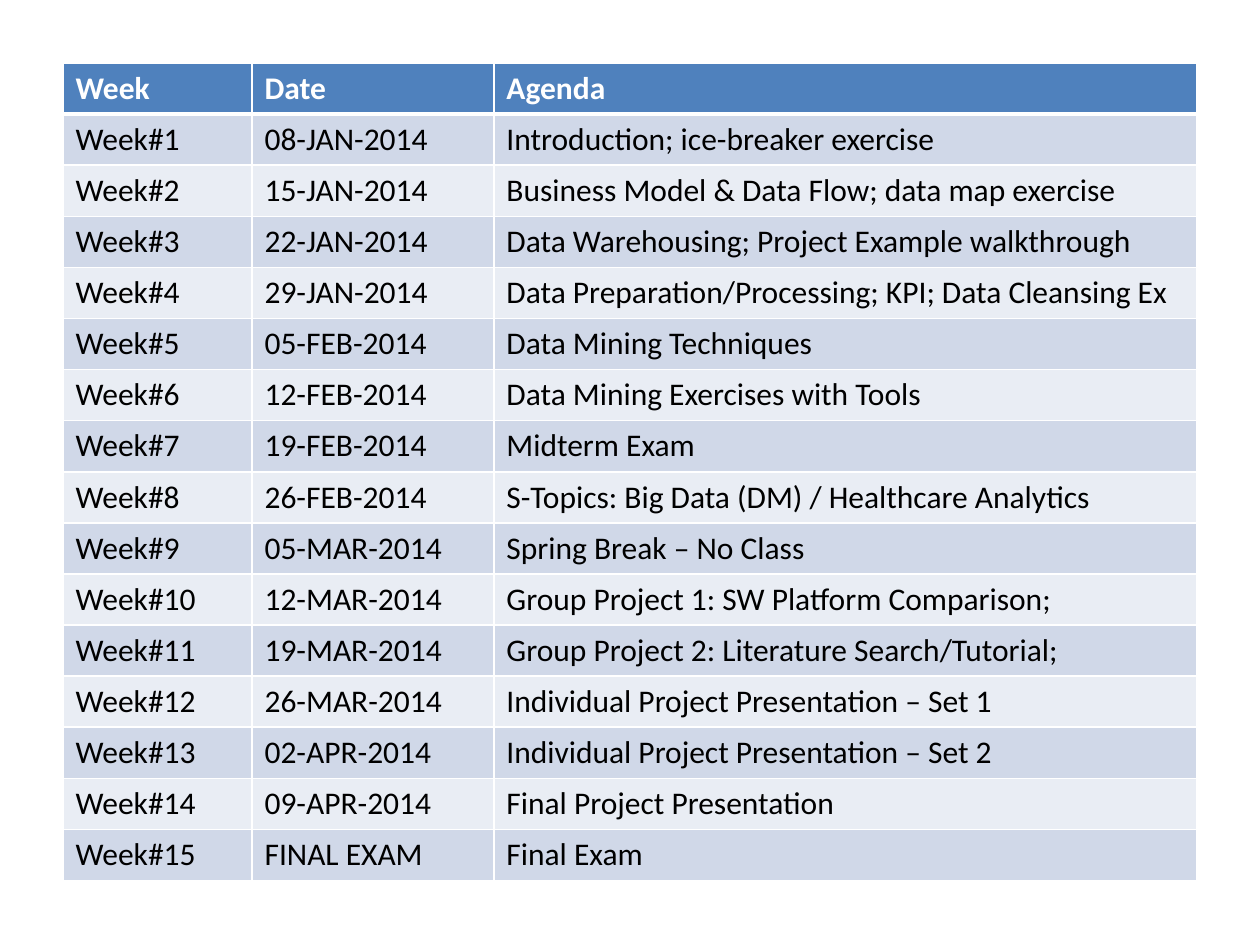
from lxml.etree import SubElement
from pptx import Presentation
from pptx.dml.color import RGBColor
from pptx.oxml.ns import qn
from pptx.util import Inches, Pt

# Content
HEADINGS = ("Week", "Date", "Agenda")
SESSIONS = [
    ("08-JAN-2014", "Introduction; ice-breaker exercise"),
    ("15-JAN-2014", "Business Model & Data Flow; data map exercise"),
    ("22-JAN-2014", "Data Warehousing; Project Example walkthrough"),
    ("29-JAN-2014", "Data Preparation/Processing; KPI; Data Cleansing Ex"),
    ("05-FEB-2014", "Data Mining Techniques"),
    ("12-FEB-2014", "Data Mining Exercises with Tools"),
    ("19-FEB-2014", "Midterm Exam"),
    ("26-FEB-2014", "S-Topics: Big Data (DM) / Healthcare Analytics"),
    ("05-MAR-2014", "Spring Break – No Class"),
    ("12-MAR-2014", "Group Project 1: SW Platform Comparison;"),
    ("19-MAR-2014", "Group Project 2: Literature Search/Tutorial;"),
    ("26-MAR-2014", "Individual Project Presentation – Set 1"),
    ("02-APR-2014", "Individual Project Presentation – Set 2"),
    ("09-APR-2014", "Final Project Presentation"),
    ("FINAL EXAM", "Final Exam"),
]
COLORS = {
    "header": "4F81BD",
    "odd week": "D0D8E8",
    "even week": "E9EDF4",
    "header text": "FFFFFF",
    "text": "000000",
    "border": "FFFFFF",
}

# Layout in inches
MARGIN = 0.5
COLUMN_WIDTHS = (1.5, 1.92, 5.58)
TABLE_HEIGHT = 6.49


def color(name):
    return RGBColor.from_string(COLORS[name])


def add_borders(cell, top, bottom):
    """Draw the four borders; they must come before the fill in the cell."""
    properties = cell._tc.get_or_add_tcPr()
    for side, points in (("L", 1), ("R", 1), ("T", top), ("B", bottom)):
        line = SubElement(properties, qn(f"a:ln{side}"), w=str(Pt(points)))
        fill = SubElement(line, qn("a:solidFill"))
        SubElement(fill, qn("a:srgbClr"), val=COLORS["border"])


def style_cell(cell, row):
    is_header = row == 0
    add_borders(cell, top=3 if row == 1 else 1, bottom=3 if is_header else 1)
    band = "header" if is_header else "odd week" if row % 2 else "even week"
    cell.fill.solid()
    cell.fill.fore_color.rgb = color(band)
    font = cell.text_frame.paragraphs[0].font
    font.name = "Calibri"
    font.size = Pt(18)
    font.bold = is_header
    font.color.rgb = color("header text" if is_header else "text")


presentation = Presentation()
presentation.slide_width = Inches(10)
presentation.slide_height = Inches(7.5)
slide = presentation.slides.add_slide(presentation.slide_layouts[6])

# Course schedule
rows = [HEADINGS] + [
    (f"Week#{week}", date, agenda)
    for week, (date, agenda) in enumerate(SESSIONS, start=1)
]
table = slide.shapes.add_table(
    len(rows), len(HEADINGS), Inches(MARGIN), Inches(MARGIN),
    Inches(sum(COLUMN_WIDTHS)), Inches(TABLE_HEIGHT),
).table
for column, width in zip(table.columns, COLUMN_WIDTHS):
    column.width = Inches(width)

for row, texts in enumerate(rows):
    for column, text in enumerate(texts):
        cell = table.cell(row, column)
        cell.text = text
        style_cell(cell, row)

presentation.save("out.pptx")
